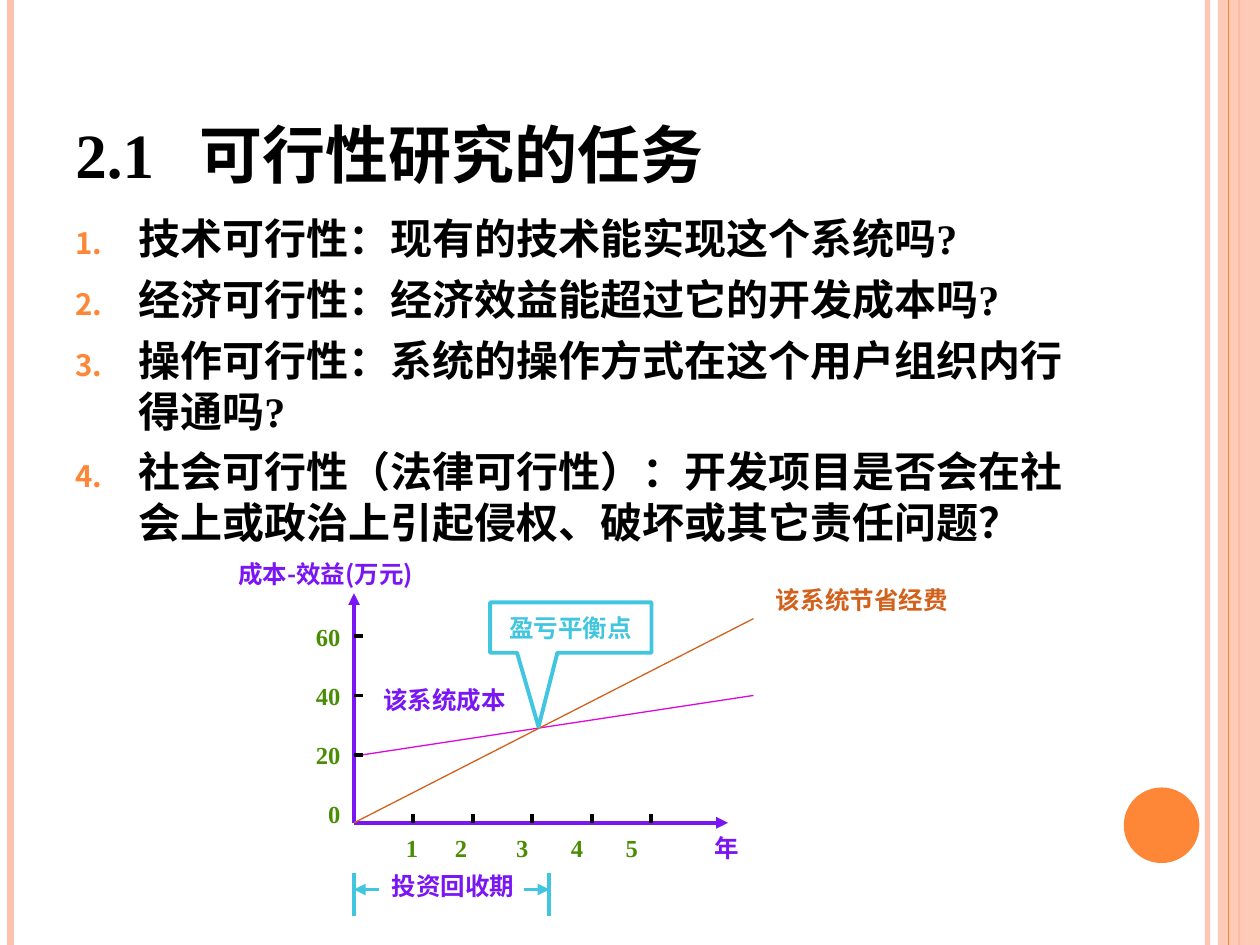
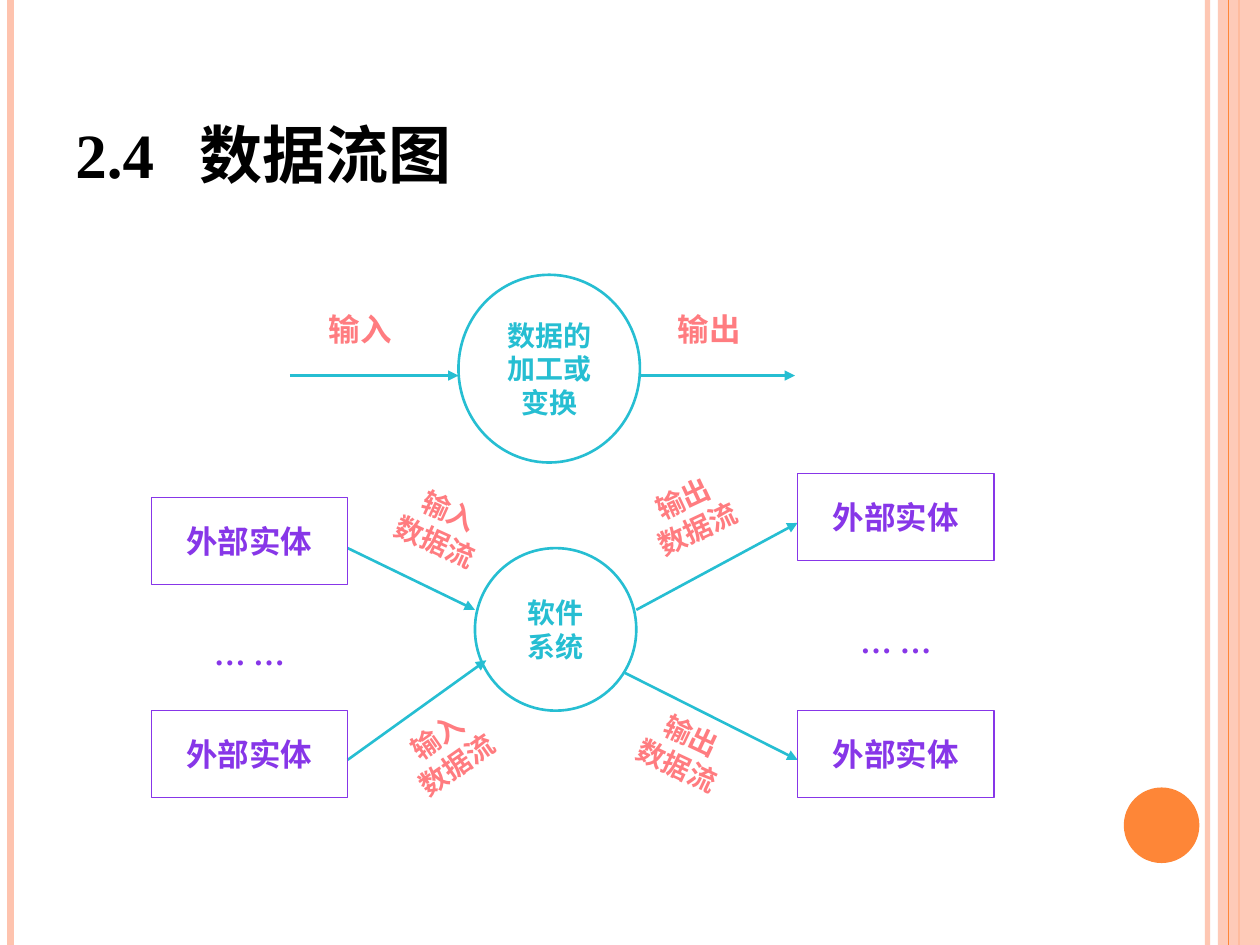
from lxml import etree
from pptx import Presentation
from pptx.dml.color import RGBColor
from pptx.enum import shapes, text
from pptx.oxml import ns
from pptx.util import Pt

# Colours
BLACK = RGBColor(0x00, 0x00, 0x00)
WHITE = RGBColor(0xFF, 0xFF, 0xFF)
PEACH = RGBColor(0xFE, 0xC3, 0xAE)
ORANGE = RGBColor(0xFE, 0x86, 0x37)
VIOLET = RGBColor(0x7A, 0x16, 0xF4)
PURPLE = RGBColor(0x87, 0x36, 0xE8)
GREEN = RGBColor(0x49, 0x8D, 0x05)
PINK = RGBColor(0xDC, 0x08, 0xDC)
RUST = RGBColor(0xD2, 0x61, 0x1C)
SKY = RGBColor(0x42, 0xC6, 0xE0)
TEAL = RGBColor(0x26, 0xBE, 0xD2)
CORAL = RGBColor(0xFF, 0x7C, 0x80)

# Fonts and shared kinds
SERIF = "Times New Roman"
SANS = "Noto Sans CJK SC"
KIND = shapes.MSO_SHAPE
ALIGN = text.PP_ALIGN
ANCHOR = text.MSO_ANCHOR
LEADING = 1.2
WIDE, HIGH = 720, 540


def sub(parent, tag, **attrs):
    return etree.SubElement(parent, ns.qn(tag), attrs)


def fade(part, percent):
    """Set the opacity of the first solid colour within an XML part."""
    color = next(part.iter(ns.qn("a:srgbClr")))
    sub(color, "a:alpha", val=str(percent * 1000))


def write(shape, words, size=14, color=BLACK, font=SERIF, align=ALIGN.LEFT,
          anchor=ANCHOR.MIDDLE, wrap=False, gap=0, tabs=(), numbers=False,
          bottom=3.6):
    """Fill a shape with bold text, one paragraph for each line."""
    frame = shape.text_frame
    frame.word_wrap = wrap
    frame.vertical_anchor = anchor
    frame.margin_left = frame.margin_right = Pt(7.2)
    frame.margin_top, frame.margin_bottom = Pt(3.6), Pt(bottom)
    for i, line in enumerate(words.split("\n")):
        para = frame.paragraphs[0] if i == 0 else frame.add_paragraph()
        para.alignment = align
        para.line_spacing = Pt(size * LEADING)
        para.space_before = Pt(gap if i else 0)
        props = para._p.get_or_add_pPr()
        if numbers:
            props.set("marL", str(Pt(36)))
            props.set("indent", str(Pt(-36)))
            sub(sub(props, "a:buClr"), "a:srgbClr", val=str(ORANGE))
            sub(props, "a:buSzPct", val="70000")
            sub(props, "a:buFont", typeface=SANS)
            sub(props, "a:buAutoNum", type="arabicPeriod")
        if tabs:
            stops = sub(props, "a:tabLst")
            for stop in tabs:
                sub(stops, "a:tab", pos=str(Pt(stop)), algn="l")
        run = para.add_run()
        run.text = line
        run.font.size = Pt(size)
        run.font.bold = True
        run.font.color.rgb = color
        run.font.name = font
        sub(run._r.get_or_add_rPr(), "a:ea", typeface=SANS)
    return shape


def label(slide, words, x, y, w, h, turn=0, **style):
    box = slide.shapes.add_textbox(Pt(x), Pt(y), Pt(w), Pt(h))
    box.rotation = turn
    return write(box, words, **style)


def figure(slide, kind, x, y, w, h, fill=None, line=None, weight=1.5):
    shape = slide.shapes.add_shape(kind, Pt(x), Pt(y), Pt(w), Pt(h))
    shape.shadow.inherit = False
    if fill is None:
        shape.fill.background()
    else:
        shape.fill.solid()
        shape.fill.fore_color.rgb = fill
    if line is None:
        shape.line.fill.background()
    else:
        shape.line.color.rgb = line
        shape.line.width = Pt(weight)
    return shape


def rule(slide, x1, y1, x2, y2, color, weight, arrow=False):
    line = slide.shapes.add_connector(
        shapes.MSO_CONNECTOR.STRAIGHT, Pt(x1), Pt(y1), Pt(x2), Pt(y2))
    line.line.color.rgb = color
    line.line.width = Pt(weight)
    if arrow:
        sub(line.line._get_or_add_ln(), "a:tailEnd", type="triangle")
    sub(line._element.spPr, "a:effectLst")
    return line


def start(deck, title):
    """Add a slide with the side bands, the dot and its title."""
    slide = deck.slides.add_slide(deck.slide_layouts[6])
    edge = rule(slide, 690, 0, 690, HIGH, PEACH, 3)
    fade(edge._element, 93)
    rule(slide, 6, 0, 6, HIGH, PEACH, 4.5)
    rule(slide, 708, 0, 708, HIGH, ORANGE, 1.5)
    band = figure(slide, KIND.RECTANGLE, 696, 0, 24, HIGH, PEACH)
    fade(band._element, 87)
    rule(slide, 702, 0, 702, HIGH, ORANGE, 0.75)
    figure(slide, KIND.OVAL, 642.2, 450, 43.2, 43.2, ORANGE)
    label(slide, title, 36, 21.6, 588, 90, size=36, wrap=True,
          anchor=ANCHOR.BOTTOM, tabs=[71], bottom=2.2)
    return slide


def graph(slide):
    """Draw the cost and benefit graph."""
    left, base = 202.3, 470.2

    # Axes and ticks
    rule(slide, left, base, left, 339, VIOLET, 2.25, arrow=True)
    rule(slide, left, base, 416, base, VIOLET, 2.25, arrow=True)
    for i in range(3):
        y = 363.6 + 33.85 * i
        rule(slide, left, y, left + 5, y, BLACK, 2.25)
    for i in range(5):
        x = 236.2 + 34 * i
        rule(slide, x, base - 5, x, base, BLACK, 2.25)
    label(slide, "1\t2\t3\t4\t5", 224.8, 474.5, 170, 19.4, color=GREEN,
          wrap=True, tabs=[28, 63, 94.3, 125.7])
    label(slide, "60\n40\n20\n0", 172.8, 349.2, 28.8, 130.3, color=GREEN,
          align=ALIGN.RIGHT, gap=16.8)

    # Cost and saving lines
    rule(slide, 207.4, 431.3, 430.6, 397.4, PINK, 0.75)
    rule(slide, left, base, 430.6, 353.5, RUST, 0.75)
    for words, x, y, w, h, color in [
            ("年", 401, 474.5, 28.8, 19.4, VIOLET),
            ("成本-效益(万元)", 129, 315.4, 144, 24.5, VIOLET),
            ("该系统节省经费", 436.3, 330.5, 126, 24.5, RUST),
            ("该系统成本", 212, 387.4, 90, 24.5, VIOLET),
            ("投资回收期", 216.7, 493.9, 90, 24.5, VIOLET)]:
        label(slide, words, x, y, w, h, color=color, font=SANS)

    # Break-even point and payback span
    note = figure(slide, KIND.RECTANGULAR_CALLOUT, 280.1, 344.2, 92.2, 28.8,
                  line=SKY, weight=2.25)
    note.adjustments[0], note.adjustments[1] = -0.2, 1.97
    write(note, "盈亏平衡点", color=SKY, align=ALIGN.CENTER, wrap=True)
    for x, inner in [(left, 216.7), (313.9, 299.5)]:
        rule(slide, x, 499, x, 523.4, SKY, 2.25)
        rule(slide, inner, 508.3, x, 508.3, SKY, 2.25, arrow=True)


def tasks(deck):
    slide = start(deck, "2.1\t可行性研究的任务")
    label(slide, "技术可行性：现有的技术能实现这个系统吗?\n"
          "经济可行性：经济效益能超过它的开发成本吗?\n"
          "操作可行性：系统的操作方式在这个用户组织内行得通吗?\n"
          "社会可行性（法律可行性）：开发项目是否会在社会上或政治上"
          "引起侵权、破坏或其它责任问题？",
          36, 118.1, 588, 391.7, size=24, wrap=True, anchor=ANCHOR.TOP,
          gap=6, numbers=True)
    graph(slide)


def flows(deck):
    slide = start(deck, "2.4\t数据流图")

    # Processes
    for words, x, y, w, h in [
            ("数据的\n加工或\n变换", 262, 157, 103.7, 107.3),
            ("软件\n系统", 271.4, 313.2, 92.2, 92.9)]:
        ring = figure(slide, KIND.OVAL, x, y, w, h, WHITE, TEAL)
        write(ring, words, size=16, color=TEAL, align=ALIGN.CENTER)

    # Flows
    for ends in [(165.6, 214.6, 262, 214.6), (365, 214.6, 454.3, 214.6),
                 (198.7, 313.2, 271.4, 348.5), (363.6, 348.5, 455.8, 298.8),
                 (198.7, 434.2, 277.9, 377.3), (357.1, 384.5, 455.8, 434.2)]:
        rule(slide, *ends, TEAL, 1.5, arrow=True)
    for words, x in [("输入", 180.7), ("输出", 380.2)]:
        label(slide, words, x, 173.5, 50.4, 28.8, size=18, color=CORAL,
              font=SANS, anchor=ANCHOR.TOP)
    for word, x, y, turn in [
            ("输入", 200.2, 277.9, 24.5), ("输入", 203, 406.1, 325.1),
            ("输出", 342, 270.7, 334.8), ("输出", 338.4, 406.1, 25.2)]:
        label(slide, word + "\n数据流", x, y, 105.1, 46.1, turn, size=16,
              color=CORAL, font=SANS, align=ALIGN.CENTER, wrap=True,
              anchor=ANCHOR.TOP)

    # Outside entities
    look = dict(size=18, color=PURPLE, align=ALIGN.CENTER)
    for x, high, dots in [(86.4, 284.4, 362.9), (455.8, 270.7, 355.7)]:
        for y in (high, 406.1):
            box = figure(slide, KIND.RECTANGLE, x, y, 112.3, 49.7,
                         line=PURPLE, weight=0.75)
            write(box, "外部实体", **look)
        label(slide, "… …", x, dots, 112.3, 20.9, **look)


def main():
    deck = Presentation()
    deck.slide_width, deck.slide_height = Pt(WIDE), Pt(HIGH)
    tasks(deck)
    flows(deck)
    deck.save("out.pptx")


if __name__ == "__main__":
    main()
